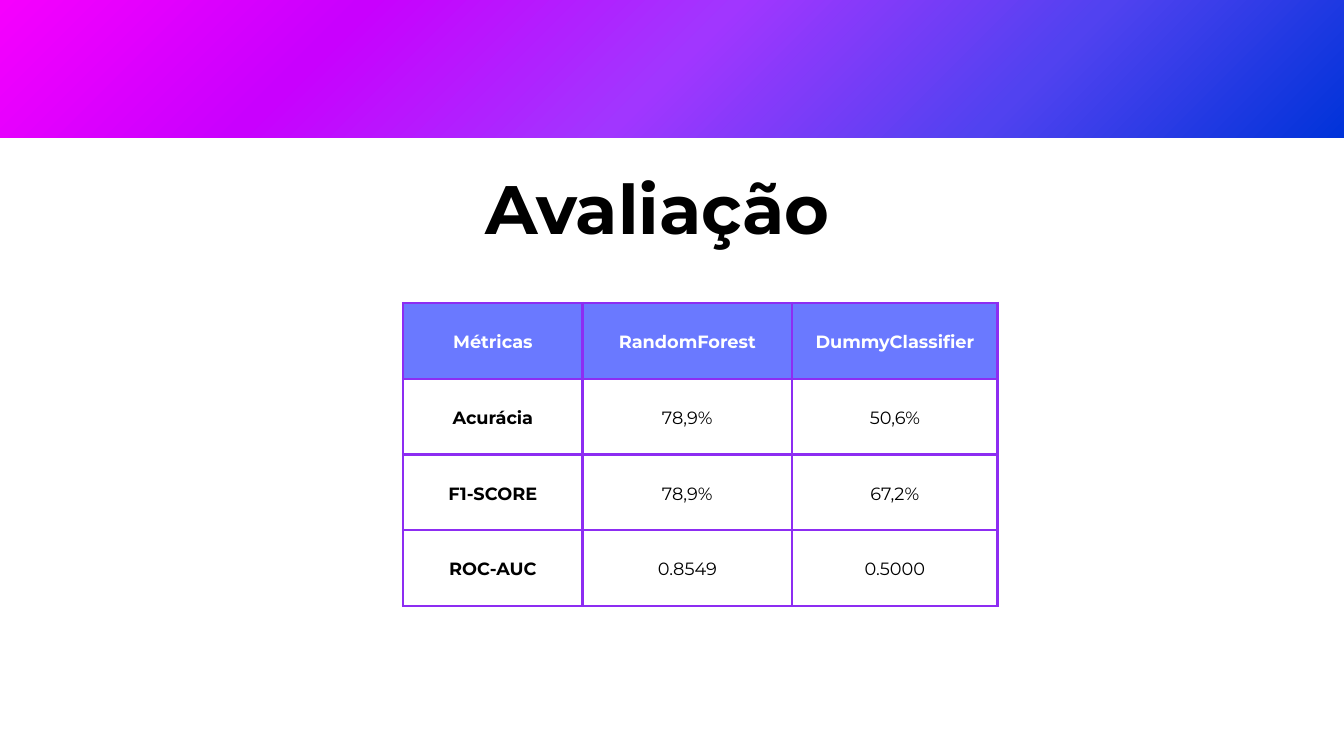
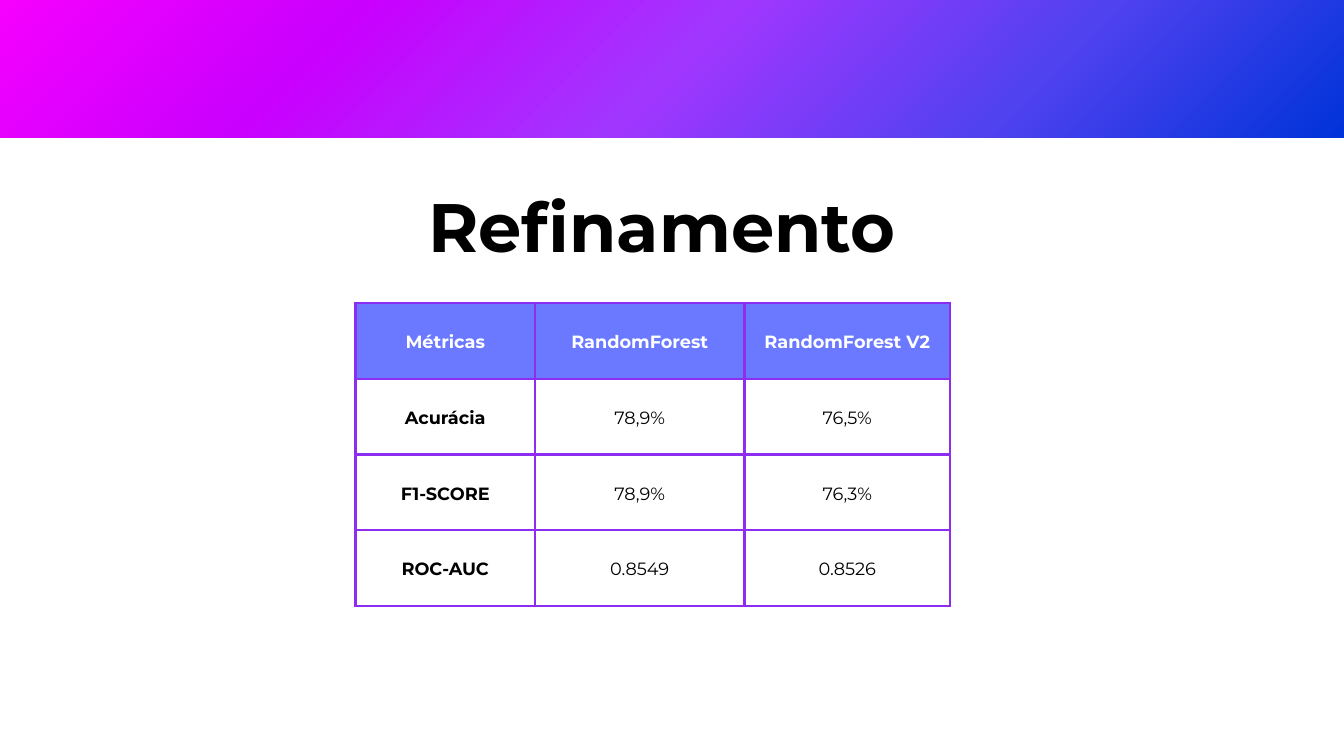
from dataclasses import dataclass

from lxml import etree
from pptx import Presentation
from pptx.dml.color import RGBColor
from pptx.enum.shapes import MSO_SHAPE
from pptx.enum.text import MSO_ANCHOR, MSO_AUTO_SIZE, PP_ALIGN
from pptx.oxml.ns import qn
from pptx.util import Cm, Pt

RECTANGLE = MSO_SHAPE.RECTANGLE
MIDDLE = MSO_ANCHOR.MIDDLE
CENTER = PP_ALIGN.CENTER
GROW = MSO_AUTO_SIZE.SHAPE_TO_FIT_TEXT


@dataclass(frozen=True)
class Theme:
    font: str = "Montserrat"
    ink: str = "000000"
    header_ink: str = "FFFFFF"
    header_fill: str = "6A79FF"
    grid: str = "8D2DF2"
    band: tuple = ("F600FE", "C900FE", "A136FF", "5142F0", "0033D9")
    title_size: float = 73.4
    title_leading: float = 102.8
    cell_size: float = 19
    cell_leading: float = 26.6
    grid_width: float = 3


THEME = Theme()
SLIDE_SIZE = (Cm(50.8), Cm(28.58))
BAND_HEIGHT = Cm(5.21)
TABLE_TOP = Cm(11.46)
COLUMN_WIDTHS = (Cm(6.78), Cm(7.92), Cm(7.77))
ROW_HEIGHT = Cm(2.86)
CELL_PADDING = Cm(0.53)

METRICS = ("Métricas", "Acurácia", "F1-SCORE", "ROC-AUC")
RANDOM_FOREST = ("RandomForest", "78,9%", "78,9%", "0.8549")
DUMMY = ("DummyClassifier", "50,6%", "67,2%", "0.5000")
RANDOM_FOREST_V2 = ("RandomForest V2", "76,5%", "76,3%", "0.8526")


def add_color(parent, color):
    etree.SubElement(parent, qn("a:srgbClr"), val=color)


def write_text(frame, text, size, leading, color, bold):
    paragraph = frame.paragraphs[0]
    paragraph.line_spacing = Pt(leading)
    run = paragraph.add_run()
    run.text = text
    run.font.name = THEME.font
    run.font.size = Pt(size)
    run.font.bold = bold
    run.font.color.rgb = RGBColor.from_string(color)
    return paragraph


def add_band(slide, left, top, width, height):
    """Fill a strip with the theme colours, spreading from its top left corner."""
    band = slide.shapes.add_shape(RECTANGLE, left, top, width, height)
    band.shadow.inherit = False
    band.line.fill.background()
    band.fill.gradient()
    gradient = band._element.spPr.find(qn("a:gradFill"))
    for child in list(gradient):
        gradient.remove(child)
    stops = etree.SubElement(gradient, qn("a:gsLst"))
    step = 100000 // (len(THEME.band) - 1)
    for index, color in enumerate(THEME.band):
        add_color(etree.SubElement(stops, qn("a:gs"), pos=str(index * step)), color)
    spread = etree.SubElement(gradient, qn("a:path"), path="circle")
    etree.SubElement(spread, qn("a:fillToRect"), l="0", t="0", r="100000", b="100000")


def add_title(slide, text, left, top, width, height):
    frame = slide.shapes.add_textbox(left, top, width, height).text_frame
    frame.word_wrap = True
    frame.auto_size = GROW
    frame.margin_left = frame.margin_right = frame.margin_top = frame.margin_bottom = 0
    write_text(frame, text, THEME.title_size, THEME.title_leading, THEME.ink, True)


def add_borders(cell):
    properties = cell._tc.get_or_add_tcPr()
    for side in ("a:lnL", "a:lnR", "a:lnT", "a:lnB"):
        line = etree.SubElement(properties, qn(side), w=str(Pt(THEME.grid_width)))
        add_color(etree.SubElement(line, qn("a:solidFill")), THEME.grid)


def style_cell(cell, text, is_header, is_label):
    add_borders(cell)
    if is_header:
        cell.fill.solid()
        cell.fill.fore_color.rgb = RGBColor.from_string(THEME.header_fill)
    else:
        cell.fill.background()
    cell.vertical_anchor = MIDDLE
    cell.margin_left = cell.margin_right = CELL_PADDING
    cell.margin_top = cell.margin_bottom = CELL_PADDING
    color = THEME.header_ink if is_header else THEME.ink
    paragraph = write_text(cell.text_frame, text, THEME.cell_size,
                           THEME.cell_leading, color, is_header or is_label)
    paragraph.alignment = CENTER


def add_metrics_table(slide, columns, left, top):
    rows = list(zip(*columns))
    table = slide.shapes.add_table(len(rows), len(columns), left, top,
                                   sum(COLUMN_WIDTHS), ROW_HEIGHT * len(rows)).table
    table.first_row = table.horz_banding = False
    for column, width in zip(table.columns, COLUMN_WIDTHS):
        column.width = width
    for r, values in enumerate(rows):
        table.rows[r].height = ROW_HEIGHT
        for c, value in enumerate(values):
            style_cell(table.cell(r, c), value, r == 0, c == 0)


def add_metrics_slide(deck, title, title_box, models, table_left):
    slide = deck.slides.add_slide(deck.slide_layouts[6])
    add_band(slide, 0, 0, deck.slide_width, BAND_HEIGHT)
    add_metrics_table(slide, (METRICS, *models), table_left, TABLE_TOP)
    add_title(slide, title, *title_box)


def main():
    deck = Presentation()
    deck.slide_width, deck.slide_height = SLIDE_SIZE
    add_metrics_slide(deck, "Avaliação", (Cm(18.36), Cm(5.77), Cm(14.05), Cm(3.45)),
                      (RANDOM_FOREST, DUMMY), Cm(15.24))
    add_metrics_slide(deck, "Refinamento", (Cm(16.18), Cm(6.43), Cm(18.42), Cm(3.45)),
                      (RANDOM_FOREST, RANDOM_FOREST_V2), Cm(13.44))
    deck.save("out.pptx")


if __name__ == "__main__":
    main()
